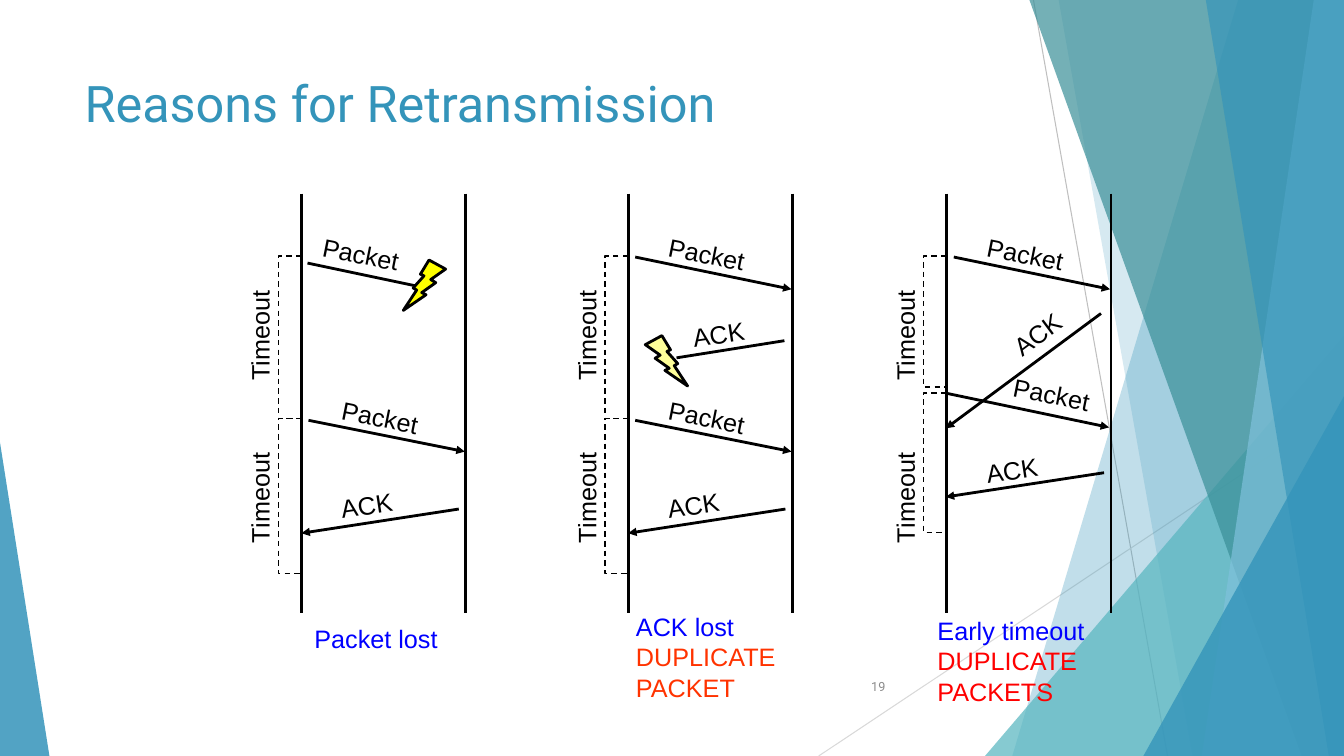
from dataclasses import dataclass
from lxml.etree import SubElement
from pptx import Presentation
from pptx.dml.color import RGBColor
from pptx.enum.dml import MSO_LINE_DASH_STYLE as Dash
from pptx.enum.shapes import MSO_CONNECTOR as Link, MSO_SHAPE as Shape
from pptx.enum.text import MSO_ANCHOR as Anchor, PP_ALIGN as Align
from pptx.oxml.ns import qn
from pptx.util import Pt

PX = 9144


@dataclass(frozen=True)
class Theme:
    heading_font: str = "Roboto"
    body_font: str = "Arial"
    title_size: int = 36
    body_size: int = 18
    number_size: int = 9
    ink: str = "000000"
    accent: str = "3494BA"
    teal: str = "58B6C0"
    deep_teal: str = "3A8F98"
    sky: str = "7FC1DB"
    number: str = "8C8C8C"
    grey: str = "BFBFBF"
    pale_grey: str = "D9D9D9"
    blue: str = "0000FF"
    orange: str = "FF3300"
    red: str = "FF0000"
    yellow: str = "FFFF00"
    pale_yellow: str = "FFFF99"


class Painter:
    """Draws themed elements on one slide, with lengths in px."""

    def __init__(self, page, theme):
        self.shapes = page.shapes
        self.theme = theme

    def text(self, box, lines, size=None, font=None, turn=0, wrap=False,
             anchor=Anchor.MIDDLE, align=Align.LEFT):
        item = self.shapes.add_textbox(*(n * PX for n in box))
        item.rotation = turn
        frame = item.text_frame
        frame.word_wrap = wrap
        frame.vertical_anchor = anchor
        for index, (words, color) in enumerate(lines):
            para = frame.add_paragraph() if index else frame.paragraphs[0]
            para.text = words
            para.alignment = align
            para.font.size = Pt(size or self.theme.body_size)
            para.font.name = font or self.theme.body_font
            para.font.color.rgb = RGBColor.from_string(color)

    def line(self, start, end, color=None, width=2, arrow=False):
        item = self.shapes.add_connector(Link.STRAIGHT, *(n * PX for n in (*start, *end)))
        item.line.width = Pt(width)
        item.line.color.rgb = RGBColor.from_string(color or self.theme.ink)
        SubElement(item._element.spPr, qn("a:effectLst"))
        if arrow:
            SubElement(item.line._get_or_add_ln(), qn("a:tailEnd"), type="triangle")

    def outline(self, points, close):
        builder = self.shapes.build_freeform(*points[0], scale=PX)
        builder.add_line_segments(points[1:], close=close)
        item = builder.convert_to_shape()
        item.shadow.inherit = False
        return item

    def tint(self, item, color, opacity):
        item.fill.solid()
        item.fill.fore_color.rgb = RGBColor.from_string(color)
        item.line.fill.background()
        shade = item._element.spPr.find(qn("a:solidFill"))[0]
        SubElement(shade, qn("a:alpha"), val=str(opacity * 1000))

    def sheet(self, points, color, opacity):
        self.tint(self.outline(points, True), color, opacity)

    def triangle(self, box, apex, color, opacity):
        item = self.shapes.add_shape(Shape.ISOSCELES_TRIANGLE, *(n * PX for n in box))
        item.adjustments[0] = apex
        item.shadow.inherit = False
        self.tint(item, color, opacity)

    def bracket(self, rail, top, bottom):
        left = rail - 23
        item = self.outline([(rail, top), (left, top), (left, bottom), (rail, bottom)], False)
        item.fill.background()
        item.line.width = Pt(1)
        item.line.color.rgb = RGBColor.from_string(self.theme.ink)
        item.line.dash_style = Dash.DASH

    def bolt(self, left, top, color, flip):
        item = self.shapes.add_shape(Shape.LIGHTNING_BOLT, left * PX, top * PX, 42 * PX, 50 * PX)
        item.shadow.inherit = False
        item.fill.solid()
        item.fill.fore_color.rgb = RGBColor.from_string(color)
        item.line.width = Pt(2)
        item.line.color.rgb = RGBColor.from_string(self.theme.ink)
        if flip:
            item._element.spPr.find(qn("a:xfrm")).set("flipH", "1")

    def message(self, rail, words, start, end, label, turn, arrives=True):
        self.line((rail + start[0], start[1]), (rail + end[0], end[1]), arrow=arrives)
        width = 97 if words == "Packet" else 72
        self.text((rail + label[0], label[1], width, 40), [(words, self.theme.ink)], turn=turn)


def draw_backdrop(painter, theme):
    painter.line((1025, 0), (1158, 750), theme.grey, 0.75)
    painter.line((1333, 403), (812, 750), theme.pale_grey, 0.75)
    right, bottom = 1333, 750
    painter.sheet([(1228, 0), (right, 0), (right, bottom), (1004, bottom)], theme.accent, 30)
    painter.sheet([(1050, 0), (right, 0), (right, bottom), (1183, bottom)], theme.accent, 20)
    painter.triangle((977, 333, 356, 417), 1, theme.teal, 72)
    for top_left, low_left, color, opacity in [
        (1021, 1291, theme.deep_teal, 70),
        (1303, 1192, theme.sky, 70),
        (1196, 1318, theme.accent, 65),
    ]:
        painter.sheet([(top_left, 0), (right, 0), (right, bottom), (low_left, bottom)],
                      color, opacity)
    painter.triangle((1134, 393, 199, 357), 1, theme.accent, 80)
    painter.triangle((0, 439, 49, 311), 0, theme.accent, 85)


def draw_scenarios(painter, theme):
    down, up = 11.5, 351.2
    sent = ("Packet", (7, 255), (162, 287), (30, 232), down)
    resent = ("Packet", (7, 417), (162, 448), (30, 394), down)
    answered = ("ACK", (156, 505), (0, 529), (29, 481), up)
    late_brackets = [(254, 415), (415, 569)]
    scenarios = [
        (299, late_brackets, [
            ("Packet", (6, 261), (120, 285), (11, 232), down, False), resent, answered]),
        (623, late_brackets, [
            sent, ("ACK", (155, 338), (48, 355), (54, 311), up, False), resent, answered]),
        (939, [(254, 384), (390, 528)], [
            sent,
            ("ACK", (153, 311), (-1, 425), (54, 311), 323.4),
            ("Packet", (-1, 390), (161, 424), (56, 371), down),
            ("ACK", (156, 469), (-1, 493), (29, 446), up)]),
    ]
    for rail, brackets, messages in scenarios:
        for (top, bottom), label_top in zip(brackets, (301, 462)):
            painter.bracket(rail, top, bottom)
            painter.text((rail - 108, label_top, 133, 40), [("Timeout", theme.ink)],
                         turn=270, wrap=True)
        for message in messages:
            painter.message(rail, *message)
        for x in (rail, rail + 163):
            painter.line((x, 192), (x, 608))
    painter.bolt(400, 258, theme.yellow, True)
    painter.bolt(640, 333, theme.pale_yellow, False)


def draw_words(painter, theme):
    painter.text((74, 67, 940, 144), [("Reasons for Retransmission", theme.accent)],
                 theme.title_size, theme.heading_font, wrap=True, anchor=Anchor.TOP)
    painter.text((788, 661, 100, 40), [("19", theme.number)],
                 theme.number_size, theme.heading_font, wrap=True, align=Align.RIGHT)
    painter.text((302, 613, 144, 40), [("Packet lost", theme.blue)])
    painter.text((621, 601, 167, 101),
                 [("ACK lost", theme.blue), ("DUPLICATE\vPACKET", theme.orange)])
    painter.text((920, 605, 167, 101),
                 [("Early timeout", theme.blue), ("DUPLICATE\vPACKETS", theme.red)])


def main():
    deck = Presentation()
    deck.slide_width, deck.slide_height = 1333 * PX, 750 * PX
    page = deck.slides.add_slide(deck.slide_layouts[6])
    theme = Theme()
    painter = Painter(page, theme)
    draw_backdrop(painter, theme)
    draw_scenarios(painter, theme)
    draw_words(painter, theme)
    deck.save("out.pptx")


if __name__ == "__main__":
    main()
